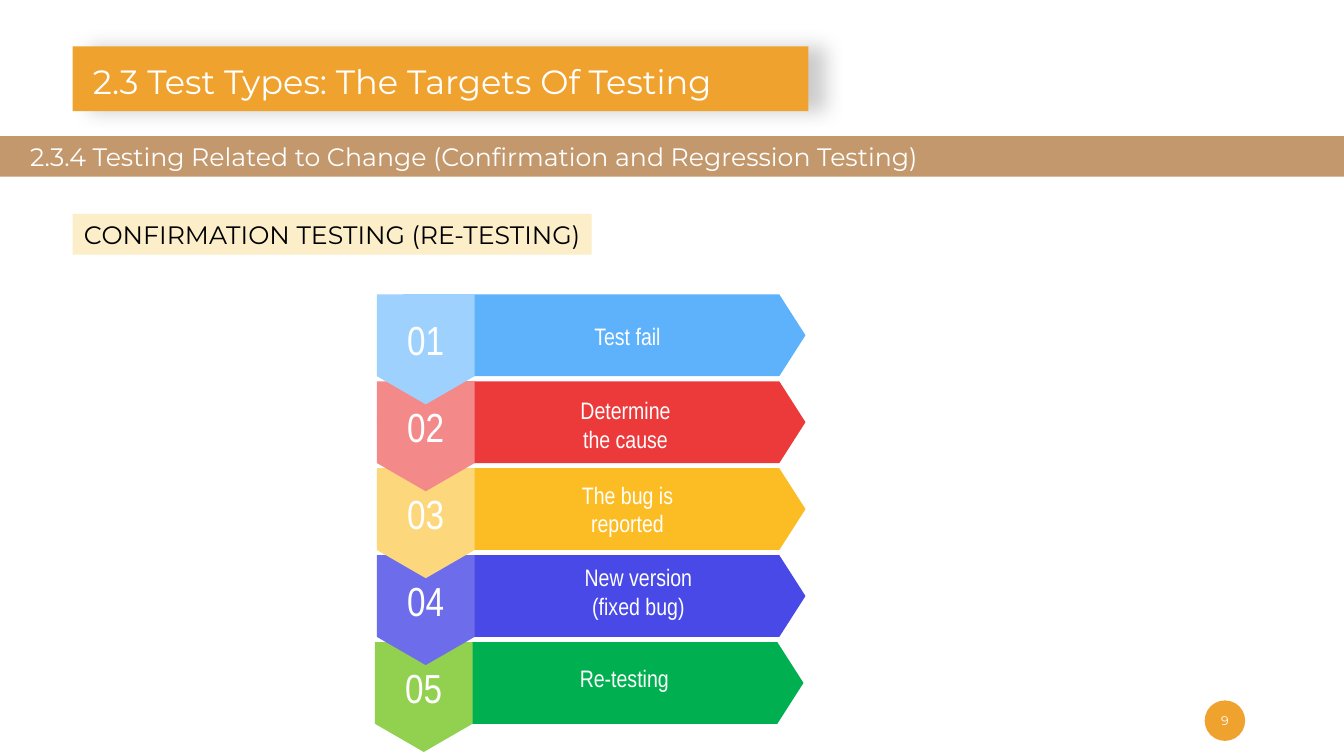
from dataclasses import dataclass

from lxml import etree
from pptx import Presentation
from pptx.dml.color import RGBColor
from pptx.enum.shapes import MSO_SHAPE
from pptx.enum.text import MSO_ANCHOR, MSO_AUTO_SIZE, PP_ALIGN
from pptx.oxml.ns import qn
from pptx.util import Cm, Pt

RECTANGLE = MSO_SHAPE.RECTANGLE
CONNECTOR_DISC = MSO_SHAPE.FLOWCHART_CONNECTOR
MIDDLE = MSO_ANCHOR.MIDDLE
LEFT, CENTER = PP_ALIGN.LEFT, PP_ALIGN.CENTER
NO_FIT = MSO_AUTO_SIZE.NONE
TITLE_ONLY = 5


@dataclass(frozen=True)
class Theme:
    heading_font: str = "Montserrat"
    step_font: str = "Arial Narrow"
    accent: str = "F0A22E"
    band: str = "C3986D"
    topic: str = "FBEEC9"
    light: str = "FFFFFF"
    dark: str = "000000"
    shadow: str = "000000"
    title_size: int = 24
    heading_size: int = 18
    page_size: int = 9
    number_size: int = 29
    label_size: int = 17


@dataclass(frozen=True)
class Step:
    label: str
    arrow_color: str
    tag_color: str
    label_left: float
    label_middle: float
    label_width: float = 3.43
    left: float = 9.5


THEME = Theme()

STEPS = [
    Step("Test fail", "5EB2FC", "9ED1FD", 14.1, 8.46),
    Step("Determine the cause", "EC3A3B", "F48989", 14.05, 10.69),
    Step("The bug is reported", "FCBD24", "FDD77C", 14.1, 12.83),
    Step("New version (fixed bug)", "4949E7", "6D6DEC", 13.97, 14.9,
         label_width=4.24),
    Step("Re-testing", "00B050", "92D050", 14.02, 17.09, left=9.45),
]

# Step geometry in centimetres
FIRST_TOP, PITCH = 7.42, 2.19
ARROW_WIDTH, ARROW_HEIGHT, ARROW_TIP = 10.8, 2.06, 0.66
TAG_WIDTH, TAG_HEIGHT = 2.46, 2.77
LABEL_HEIGHT = 0.76


def write(shape, text, *, size, font=THEME.heading_font, color=THEME.light,
          align=CENTER, insets=(0.25, 0.13, 0.25, 0.13), wrap=True):
    """Put one formatted paragraph in a shape; insets are l, t, r, b in cm."""
    frame = shape.text_frame
    frame.auto_size = NO_FIT
    frame.word_wrap = wrap
    frame.vertical_anchor = MIDDLE
    (frame.margin_left, frame.margin_top,
     frame.margin_right, frame.margin_bottom) = map(Cm, insets)
    para = frame.paragraphs[0]
    para.alignment = align
    span = para.add_run()
    span.text = text
    span.font.name = font
    span.font.size = Pt(size)
    span.font.color.rgb = RGBColor.from_string(color)


def paint(shape, color):
    shape.fill.solid()
    shape.fill.fore_color.rgb = RGBColor.from_string(color)
    shape.line.fill.background()


def add_block(page, kind, left, top, width, height, color):
    box = page.shapes.add_shape(kind, Cm(left), Cm(top), Cm(width), Cm(height))
    box.shadow.inherit = False
    paint(box, color)
    return box


def add_outline(shapes, points, color):
    corners = [(Cm(x), Cm(y)) for x, y in points]
    builder = shapes.build_freeform(*corners[0], scale=1.0)
    builder.add_line_segments(corners[1:], close=True)
    outline = builder.convert_to_shape()
    outline.shadow.inherit = False
    paint(outline, color)
    return outline


def add_soft_shadow(shape):
    properties = shape._element.spPr
    effects = etree.SubElement(properties, qn("a:effectLst"))
    shadow = etree.SubElement(effects, qn("a:outerShdw"), blurRad=str(Pt(14)),
                              dist=str(Pt(12)), dir="0", algn="l", rotWithShape="0")
    color = etree.SubElement(shadow, qn("a:srgbClr"), val=THEME.shadow)
    etree.SubElement(color, qn("a:alpha"), val="20000")


def add_title(page, text):
    title = page.shapes.title
    title.left, title.top = Cm(1.83), Cm(1.17)
    title.width, title.height = Cm(18.54), Cm(1.63)
    paint(title, THEME.accent)
    add_soft_shadow(title)
    write(title, text, size=THEME.title_size, align=LEFT,
          insets=(0.51, 0.13, 0.51, 0))


def add_step(page, index, step):
    group = page.shapes.add_group_shape()
    left, top = step.left, FIRST_TOP + index * PITCH
    right, bottom = left + ARROW_WIDTH, top + ARROW_HEIGHT
    middle = top + ARROW_HEIGHT / 2

    # Wide arrow, pointed at both ends
    add_outline(group.shapes, [
        (left + ARROW_TIP, top), (left, middle), (left + ARROW_TIP, bottom),
        (right - ARROW_TIP, bottom), (right, middle), (right - ARROW_TIP, top),
    ], step.arrow_color)

    # Number tag, pointing down to the next step
    tag = add_outline(group.shapes, [
        (left, top), (left, bottom), (left + TAG_WIDTH / 2, top + TAG_HEIGHT),
        (left + TAG_WIDTH, bottom), (left + TAG_WIDTH, top),
    ], step.tag_color)
    write(tag, f"{index + 1:02d}", size=THEME.number_size,
          font=THEME.step_font, insets=(0.25, 0.25, 0.25, 0.76))

    # Label
    label = group.shapes.add_textbox(
        Cm(step.label_left), Cm(step.label_middle - LABEL_HEIGHT / 2),
        Cm(step.label_width), Cm(LABEL_HEIGHT))
    write(label, step.label, size=THEME.label_size, font=THEME.step_font,
          insets=(0.25, 0.25, 0.25, 0.25))


def main():
    deck = Presentation()
    deck.slide_width, deck.slide_height = Cm(33.87), Cm(19.05)
    page = deck.slides.add_slide(deck.slide_layouts[TITLE_ONLY])

    # Headings
    add_title(page, "2.3 Test Types: The Targets Of Testing")
    disc = add_block(page, CONNECTOR_DISC, 30.36, 17.65, 1.02, 1.02, THEME.accent)
    write(disc, "9", size=THEME.page_size, insets=(0, 0.13, 0, 0.13))
    band = add_block(page, RECTANGLE, -0.46, 3.43, 34.75, 1.02, THEME.band)
    write(band, "2.3.4 Testing Related to Change (Confirmation and Regression Testing)",
          size=THEME.heading_size, align=LEFT, insets=(1.22, 0.13, 0.25, 0.13))
    topic = add_block(page, RECTANGLE, 1.83, 5.39, 13.08, 1.03, THEME.topic)
    write(topic, "CONFIRMATION TESTING (RE-TESTING)", size=THEME.heading_size,
          color=THEME.dark, wrap=False)

    # Steps, last first so that each tag overlaps the step below
    for index, step in reversed(list(enumerate(STEPS))):
        add_step(page, index, step)

    deck.save("out.pptx")


if __name__ == "__main__":
    main()
